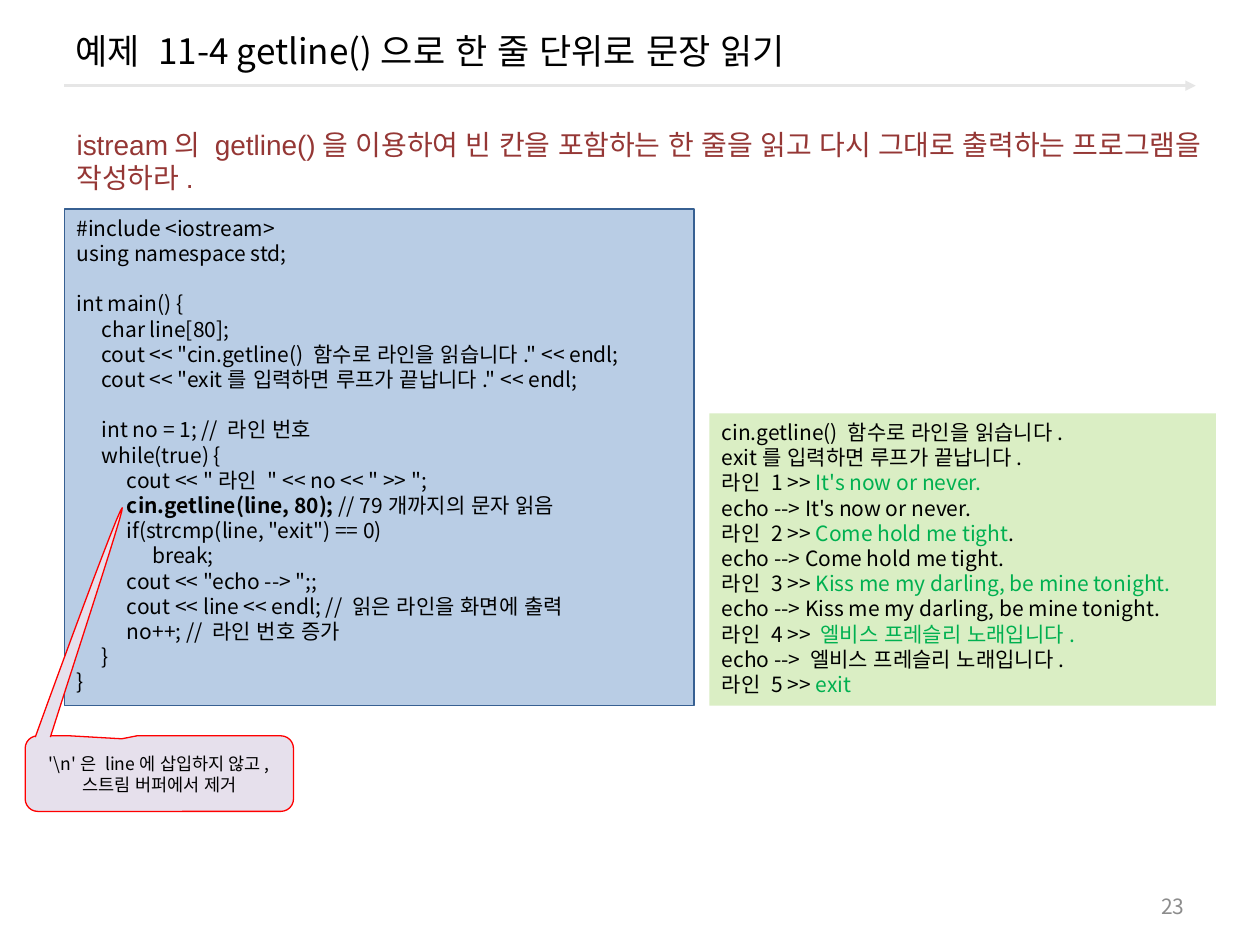
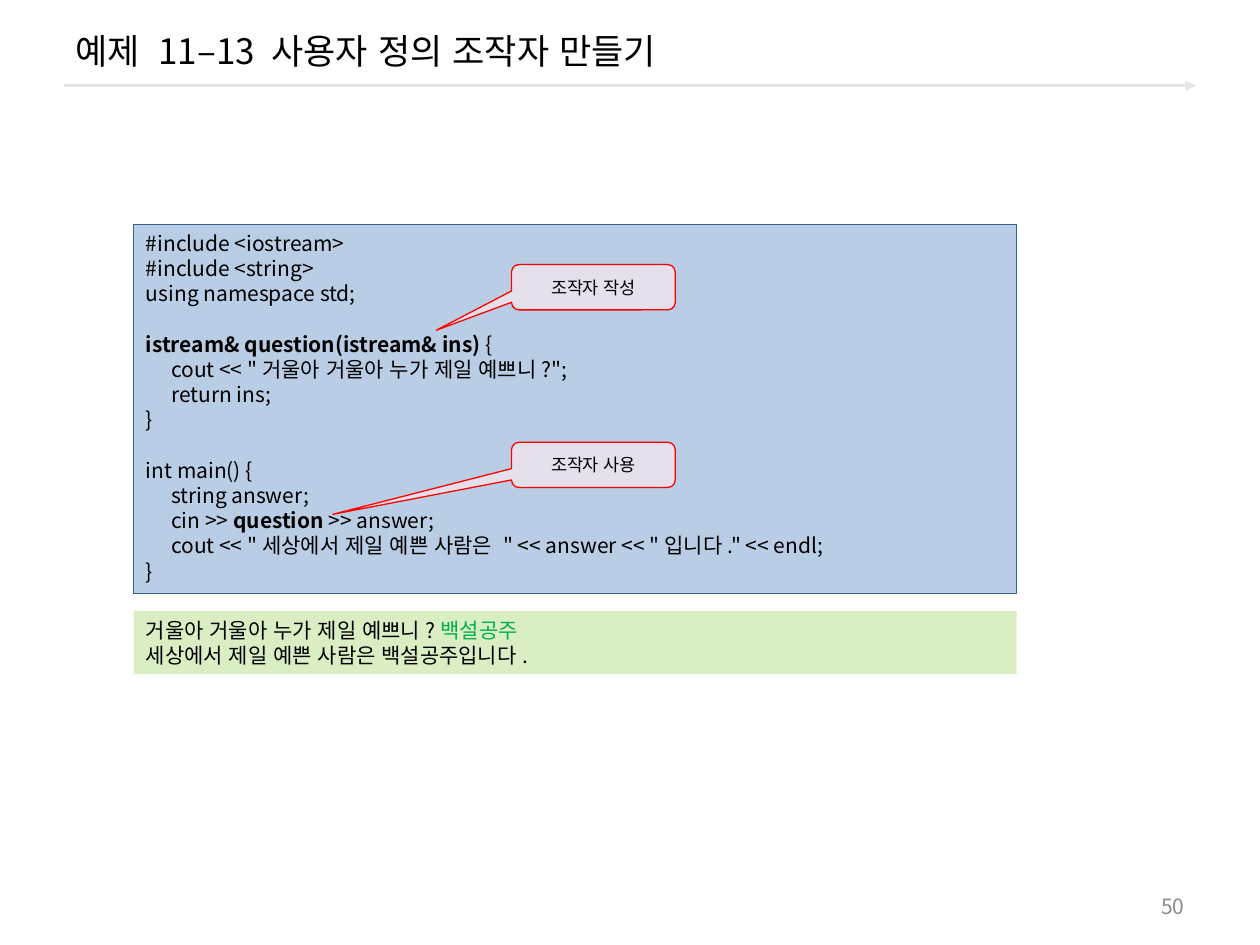
from lxml import etree
from pptx import Presentation
from pptx import util as u
from pptx.dml.color import RGBColor
from pptx.enum import shapes, text
from pptx.oxml import ns

Inches, Pt = u.Inches, u.Pt
KIND, ALIGN, ANCHOR = shapes.MSO_SHAPE, text.PP_ALIGN, text.MSO_ANCHOR

INK = {
    "text": "000000", "number": "8C8C8C", "rule": "E6E6E6", "task": "953735",
    "code": "B9CDE5", "edge": "376092", "output": "DAEEC4", "input": "00B050",
    "note": "E6E0EC", "alert": "FF0000",
}
FONT, EAST = "Noto Sans CJK KR", "Arial"
TAB = 0.2

# Parts between bars stand out: bold in code, green in output.
SLIDES = [
    {
        "title": "예제 11-4 getline()으로 한 줄 단위로 문장 읽기",
        "number": "23",
        "task": "istream의 getline()을 이용하여 빈 칸을 포함하는 한 줄을 읽고 "
                "다시 그대로 출력하는 프로그램을 작성하라.",
        "output": ((5.63, 3.28, 4.02, 2.32), [
            "cin.getline() 함수로 라인을 읽습니다.",
            "exit를 입력하면 루프가 끝납니다.",
            "라인 1 >>| It's now or never.|",
            "echo --> It's now or never.",
            "라인 2 >>| Come hold me tight|.",
            "echo --> Come hold me tight.",
            "라인 3 >> |Kiss me my darling, be mine tonight.|",
            "echo --> Kiss me my darling, be mine tonight.",
            "라인 4 >> |엘비스 프레슬리 노래입니다.|",
            "echo --> 엘비스 프레슬리 노래입니다.",
            "라인 5 >> |exit|",
        ]),
        "code": ((0.51, 1.66, 5, 3.94), [
            "#include <iostream>",
            "using namespace std;",
            "",
            "int main() {",
            "\tchar line[80];",
            '\tcout << "cin.getline() 함수로 라인을 읽습니다." << endl;',
            '\tcout << "exit를 입력하면 루프가 끝납니다." << endl;',
            "",
            "\tint no = 1; // 라인 번호",
            "\twhile(true) {",
            '\t\tcout << "라인 " << no << " >> ";',
            "\t\t|cin.getline(line, 80);| // 79개까지의 문자 읽음",
            '\t\tif(strcmp(line, "exit") == 0)',
            "\t\t\tbreak;",
            '\t\tcout << "echo --> ";;',
            "\t\tcout << line << endl; // 읽은 라인을 화면에 출력",
            "\t\tno++; // 라인 번호 증가",
            "\t}",
            "}",
        ]),
        "notes": [((0.2, 5.84, 2.13, 0.6), (-0.14, -0.46),
                   "'\\n'은 line에 삽입하지 않고, 스트림 버퍼에서 제거")],
        "tail": [((0.28, 5.85), (0.61, 4.94), (0.95, 4.03), (0.97, 4.03)),
                 ((0.97, 4.03), (0.99, 4.03), (0.69, 4.94), (0.4, 5.85))],
    },
    {
        "title": "예제 11–13 사용자 정의 조작자 만들기",
        "number": "50",
        "output": ((1.06, 4.85, 7.01, 0.5), [
            "거울아 거울아 누가 제일 예쁘니?|백설공주|",
            "세상에서 제일 예쁜 사람은 백설공주입니다.",
        ]),
        "code": ((1.06, 1.78, 7.01, 2.93), [
            "#include <iostream>",
            "#include <string>",
            "using namespace std;",
            "",
            "|istream& question(istream& ins) |{",
            '\tcout << "거울아 거울아 누가 제일 예쁘니?";',
            "\treturn ins;",
            "}",
            "",
            "int main() {",
            "\tstring answer;",
            "\tcin >> |question| >> answer;",
            '\tcout << "세상에서 제일 예쁜 사람은 " << answer << "입니다." << endl;',
            "}",
        ]),
        "notes": [((4.06, 2.1, 1.3, 0.36), (-0.96, 0.95), "조작자 작성"),
                  ((4.06, 3.51, 1.3, 0.36), (-1.59, 1.09), "조작자 사용")],
    },
]


def rgb(ink):
    return RGBColor.from_string(INK[ink])


def place(box):
    return [Inches(n) for n in box]


def paint(shape, fill, line=None):
    shape.shadow.inherit = False
    shape.fill.solid()
    shape.fill.fore_color.rgb = rgb(fill)
    if line:
        shape.line.color.rgb = rgb(line)
        shape.line.width = Pt(0.75)
    else:
        shape.line.fill.background()


def style(para, size, ink="text", face=FONT, align=ALIGN.LEFT):
    para.alignment = align
    para.line_spacing = Pt(size * 1.2)
    font = para.font
    font.size, font.name = Pt(size), face
    font.color.rgb = rgb(ink)
    latin = para._p.pPr.find(".//" + ns.qn("a:latin"))
    latin.addnext(etree.Element(ns.qn("a:ea"), typeface=EAST))


def write(shape, words, size, anchor=ANCHOR.MIDDLE, **look):
    frame = shape.text_frame
    frame.word_wrap = True
    frame.vertical_anchor = anchor
    frame.text = words
    style(frame.paragraphs[0], size, **look)


def add_tabs(para, count):
    stops = etree.SubElement(para._p.get_or_add_pPr(), ns.qn("a:tabLst"))
    for n in range(1, count + 1):
        etree.SubElement(stops, ns.qn("a:tab"), pos=str(Inches(TAB * n)), algn="l")


def add_panel(slide, kind, box, lines):
    """Draw a code or output box; an empty line becomes space above the next."""
    panel = slide.shapes.add_shape(KIND.RECTANGLE, *place(box))
    paint(panel, kind, "edge" if kind == "code" else None)
    frame = panel.text_frame
    frame.word_wrap = True
    frame.vertical_anchor = ANCHOR.TOP
    for i, line in enumerate(lines):
        if not line:
            continue
        para = frame.add_paragraph() if i else frame.paragraphs[0]
        if "\t" in line:
            add_tabs(para, line.count("\t"))
        style(para, 12)
        if i and not lines[i - 1]:
            para.space_before = Pt(14.4)
        for j, part in enumerate(line.split("|")):
            if not part:
                continue
            run = para.add_run()
            run.text = part
            if j % 2 and kind == "code":
                run.font.bold = True
            elif j % 2:
                run.font.color.rgb = rgb("input")


def add_note(slide, box, tip, words):
    note = slide.shapes.add_shape(KIND.ROUNDED_RECTANGULAR_CALLOUT, *place(box))
    note.adjustments[0], note.adjustments[1] = tip
    paint(note, "note", "alert")
    write(note, words, 10, align=ALIGN.CENTER)


def bezier(ends, steps=10):
    """Return points along a cubic curve, with its start left out."""
    points = []
    for n in range(1, steps + 1):
        t = n / steps
        mix = ((1 - t) ** 3, 3 * t * (1 - t) ** 2, 3 * t * t * (1 - t), t ** 3)
        points.append(tuple(sum(m * p[axis] for m, p in zip(mix, ends))
                            for axis in (0, 1)))
    return points


def add_tail(slide, curves):
    path = slide.shapes.build_freeform(*place(curves[0][0]))
    path.add_line_segments([place(p) for c in curves for p in bezier(c)],
                           close=False)
    paint(path.convert_to_shape(), "note", "alert")


def add_rule(slide):
    y = Inches(0.68)
    rule = slide.shapes.add_connector(
        shapes.MSO_CONNECTOR.STRAIGHT, Inches(0.51), y, Inches(9.49), y)
    rule.line.color.rgb = rgb("rule")
    rule.line.width = Pt(1.5)
    etree.SubElement(rule.line._get_or_add_ln(), ns.qn("a:tailEnd"), type="triangle")
    etree.SubElement(rule._element.spPr, ns.qn("a:effectLst"))


def add_slide(deck, data):
    slide = deck.slides.add_slide(deck.slide_layouts[5])
    add_rule(slide)
    title = slide.shapes.title
    title.left, title.top, title.width, title.height = place((0.5, 0.08, 9, 0.64))
    write(title, data["title"], 20)
    number = slide.shapes.add_textbox(*place((7.17, 7.03, 2.33, 0.32)))
    write(number, data["number"], 12, ink="number", align=ALIGN.RIGHT)
    for kind in ("output", "code"):
        add_panel(slide, kind, *data[kind])
    for note in data["notes"]:
        add_note(slide, *note)
    if "tail" in data:
        add_tail(slide, data["tail"])
    if "task" in data:
        task = slide.shapes.add_textbox(*place((0.51, 0.96, 9.13, 0.64)))
        write(task, data["task"], 16, ANCHOR.TOP, ink="task", face="Arial")


def main():
    deck = Presentation()
    deck.slide_width, deck.slide_height = Inches(10), Inches(7.5)
    for data in SLIDES:
        add_slide(deck, data)
    deck.save("out.pptx")


if __name__ == "__main__":
    main()
